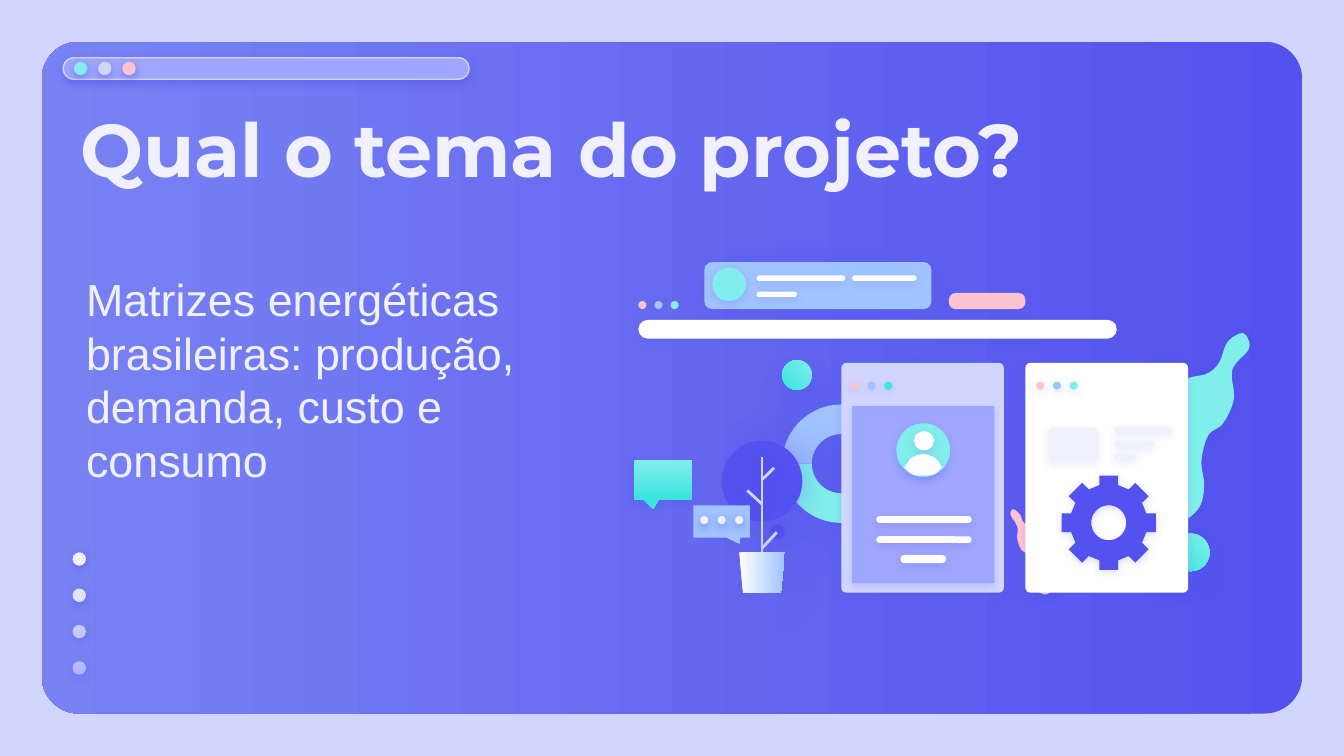
"""Build the project theme slide with a browser-style frame and a web illustration."""
import math

import pptx
import pptx.dml.color
import pptx.enum.shapes
import pptx.enum.text
import pptx.oxml
import pptx.oxml.ns
import pptx.util

SHAPE = pptx.enum.shapes.MSO_SHAPE
ROUND, OVAL, ARC = SHAPE.ROUNDED_RECTANGLE, SHAPE.OVAL, SHAPE.BLOCK_ARC
RECT, BUBBLE = SHAPE.RECTANGLE, SHAPE.ROUNDED_RECTANGULAR_CALLOUT

COLORS = {
    "lilac": "D2D6FF", "indigo": "5352EE", "violet": "7882F3", "lavender": "9EA6FF",
    "pale": "F1F0FF", "aqua": "81EEEB", "teal": "3AE4DF", "pink": "FFC3D0",
    "sky": "A1C3FF", "white": "FFFFFF",
}
TITLE = "Qual o tema do projeto?"
BODY = "Matrizes energéticas brasileiras: produção, demanda, custo e consumo"
SOFT = (18, 4.5, 1.5, 90)
STRONG = (50, 4.5, 1.5, 90)
FAINT = (14, 4.5, 1.5, 90)
BLOB = (22, 4.5, 1.5, 90)
RING = (67, 38.2, 9, 49)
BALL = (38, 12.4, 6.8, 90)
STEM = (28, 4.5, 1.5, 90)
MINT = ("aqua", "teal", 135)


def dots(left, top, size, fills, step_x=0.0, step_y=0.0, shadow=SOFT):
    """Return evenly spaced round dots, one per fill."""
    return [(OVAL, (left + i * step_x, top + i * step_y, size, size), fill, shadow)
            for i, fill in enumerate(fills)]


FRAME = [
    (ROUND, (0.31, 0.31, 9.38, 5), ("indigo", "violet", 180), None, (0.056,)),
    (ROUND, (0.47, 0.43, 3.02, 0.16), "lavender", STRONG, (0.5,), 0, "lilac"),
    *dots(0.55, 0.46, 0.1, ("aqua", "lilac", "pink"), step_x=0.18, shadow=STRONG),
    *dots(0.54, 4.11, 0.1, ("pale", ("pale", 90), ("pale", 67), ("pale", 54)),
          step_y=0.27, shadow=STRONG),
]
BLOBS = [
    ("pink", [(7.54, 3.79), (7.52, 3.83), (7.57, 3.92), (7.57, 4.01), (7.6, 4.09),
              (7.65, 4.13), (7.68, 4.22), (7.66, 4.3), (7.68, 4.37), (7.76, 4.42),
              (7.81, 4.41), (7.91, 4.33), (7.86, 4.13), (7.81, 4.1), (7.77, 3.99),
              (7.7, 3.93), (7.62, 3.89), (7.59, 3.83)]),
    ("aqua", [(9.23, 2.48), (9.28, 2.51), (9.29, 2.6), (9.17, 2.75), (9.18, 2.97),
              (9.1, 3.15), (8.99, 3.24), (8.94, 3.43), (8.96, 3.62), (8.92, 3.78),
              (8.79, 3.88), (8.64, 3.87), (8.41, 3.68), (8.53, 3.24), (8.64, 3.16),
              (8.73, 2.93), (8.83, 2.82), (8.98, 2.78), (9.07, 2.7), (9.13, 2.55)]),
]
BACK = [
    (ROUND, (5.24, 1.95, 1.69, 0.35), "sky", (50, 14.6, 1.5, 90), (0.167,)),
    (ROUND, (5.63, 2.05, 0.66, 0.04), "white", FAINT, (0.5,)),
    (ROUND, (6.34, 2.05, 0.48, 0.04), "white", FAINT, (0.5,)),
    (ROUND, (5.63, 2.17, 0.3, 0.04), "white", FAINT, (0.5,)),
    (OVAL, (5.3, 1.99, 0.25, 0.25), "aqua", SOFT),
    (ROUND, (7.06, 2.18, 0.57, 0.12), "pink", (24, 4.5, 1.5, 90), (0.423,)),
    (BUBBLE, (4.72, 3.42, 0.43, 0.3), ("aqua", "teal", 90), (31, 4.5, 1.5, 90),
     (-0.174, 0.731, 0)),
    (ARC, (5.82, 3.01, 0.88, 0.88), "sky", RING),
    (ARC, (5.82, 3.01, 0.88, 0.88), "aqua", RING, (), 180),
    (OVAL, (5.37, 3.28, 0.6, 0.6), "indigo", (36, 16.9, 1.5, 90)),
    (OVAL, (5.73, 3.9, 0.11, 0.11), "indigo", (26, 4.5, 1.5, 90)),
]
STEMS = [(5.67, 3.4, 5.67, 4.11), (5.56, 3.65, 5.67, 3.75),
         (5.76, 3.48, 5.67, 3.57), (5.78, 3.96, 5.67, 4.08)]
POT = [(5.5, 4.11), (5.84, 4.11), (5.81, 4.41), (5.53, 4.41)]
FRONT = [
    (BUBBLE, (5.16, 3.76, 0.42, 0.24), "sky", None, (0.317, 0.706, 0)),
    *dots(5.21, 3.84, 0.06, ("pale",) * 3, step_x=0.13, shadow=STRONG),
    (OVAL, (8.72, 3.97, 0.28, 0.28), MINT, BALL),
    (OVAL, (5.82, 2.68, 0.22, 0.22), MINT, BALL),
    (ROUND, (4.75, 2.38, 3.56, 0.14), "white", SOFT, (0.5,)),
    *dots(4.75, 2.24, 0.06, ("pink", "sky", "aqua"), step_x=0.12),
    (ROUND, (7.63, 2.7, 1.21, 1.71), "white", SOFT, (0.03,)),
    *dots(7.71, 2.84, 0.06, ("pink", "sky", "aqua"), step_x=0.125),
    (ROUND, (6.26, 2.7, 1.21, 1.71), "lilac", SOFT, (0.03,)),
    (RECT, (6.34, 3.02, 1.06, 1.32), "lavender", SOFT),
    *dots(6.33, 2.84, 0.06, ("pink", "sky", "teal"), step_x=0.125),
    (ROUND, (6.52, 3.84, 0.71, 0.05), "white", SOFT, (0.5,)),
    (ROUND, (6.52, 3.99, 0.71, 0.05), "white", SOFT, (0.5,)),
    (ROUND, (6.7, 4.13, 0.34, 0.06), "white", SOFT, (0.5,)),
    (OVAL, (6.67, 3.15, 0.4, 0.4), "aqua", SOFT),
    (OVAL, (6.8, 3.21, 0.15, 0.14), "white", SOFT),
    (ROUND, (7.8, 3.18, 0.37, 0.25), "pale", (9, 4.5, 1.5, 90), (0.167,)),
    *[(ROUND, (8.29, 3.18 + 0.1 * i, width, 0.04), "pale", FAINT, (0.5,))
      for i, width in enumerate((0.43, 0.3, 0.17))],
]
SHOULDERS = [(6.73, 3.48), (6.73, 3.48), (6.78, 3.41), (6.87, 3.38), (6.96, 3.41),
             (7.01, 3.48), (7.01, 3.48), (6.95, 3.53), (6.87, 3.54), (6.79, 3.53)]
GEAR = {"center": (8.25, 3.89), "teeth": 8, "half": 0.07, "root": 0.28, "tip": 0.35,
        "hole": 0.13}


def length(inches):
    """Convert layout units of one inch to a length."""
    return pptx.util.Cm(inches * 2.54)


def rgb(name):
    """Return the named colour."""
    return pptx.dml.color.RGBColor.from_string(COLORS[name])


def child(parent, tag, **attributes):
    """Append a DrawingML element."""
    element = pptx.oxml.parse_xml(f"<a:{tag} {pptx.oxml.ns.nsdecls('a')}/>")
    for name, value in attributes.items():
        element.set(name, str(value))
    parent.append(element)
    return element


def cast(effects, shadow):
    """Add an outer shadow given as opacity, blur, distance and angle."""
    opacity, blur, distance, angle = shadow
    outer = child(effects, "outerShdw", blurRad=int(pptx.util.Pt(blur)),
                  dist=int(pptx.util.Pt(distance)), dir=angle * 60000,
                  algn="bl", rotWithShape=0)
    color = child(outer, "srgbClr", val=COLORS["indigo"])
    child(color, "alpha", val=opacity * 1000)


def paint(shape, fill, shadow, line=None):
    """Apply a plain, translucent or gradient fill, a shadow and an outline."""
    if isinstance(fill, tuple) and len(fill) == 3:
        shape.fill.gradient()
        shape.fill.gradient_angle = -fill[2] % 360
        for stop, name in zip(shape.fill.gradient_stops, fill):
            stop.color.rgb = rgb(name)
    else:
        name, opacity = fill if isinstance(fill, tuple) else (fill, 100)
        shape.fill.solid()
        shape.fill.fore_color.rgb = rgb(name)
        if opacity < 100:
            color = shape._element.spPr.find(".//" + pptx.oxml.ns.qn("a:srgbClr"))
            child(color, "alpha", val=opacity * 1000)
    if line:
        shape.line.color.rgb = rgb(line)
        shape.line.width = pptx.util.Pt(0.75)
    else:
        shape.line.fill.background()
    shape.shadow.inherit = False
    if shadow:
        cast(shape._element.spPr.find(pptx.oxml.ns.qn("a:effectLst")), shadow)


def add_preset(page, kind, box, fill, shadow, adjustments=(), turn=0, line=None):
    """Draw one preset shape."""
    shape = page.shapes.add_shape(kind, *map(length, box))
    for i, value in enumerate(adjustments):
        shape.adjustments[i] = value
    shape.rotation = turn
    paint(shape, fill, shadow, line)


def add_outline(page, contours, fill, shadow):
    """Draw one closed outline, with any further contours as holes."""
    builder = None
    for contour in contours:
        first, *rest = [tuple(map(length, point)) for point in contour]
        if builder is None:
            builder = page.shapes.build_freeform(*first)
        else:
            builder.move_to(*first)
        builder.add_line_segments(rest, close=True)
    paint(builder.convert_to_shape(), fill, shadow)


def smooth(points, steps=8):
    """Return a closed Catmull-Rom curve through the points."""
    curve, count = [], len(points)
    for i in range(count):
        near = [points[(i + k) % count] for k in (-1, 0, 1, 2)]
        for t in (step / steps for step in range(steps)):
            curve.append(tuple(
                b + t / 2 * (c - a + t * (2 * a - 5 * b + 4 * c - d
                                          + t * (3 * (b - c) + d - a)))
                for a, b, c, d in zip(*near)))
    return curve


def gear_contours(center, teeth, half, root, tip, hole):
    """Return the toothed rim and the round hole of a gear."""
    x, y = center
    rim = []
    for turn in (2 * math.pi * i / teeth for i in range(teeth)):
        cos, sin = math.cos(turn), math.sin(turn)
        rim += [(x + r * cos - s * sin, y + r * sin + s * cos)
                for r, s in ((root, -half), (tip, -half), (tip, half), (root, half))]
    circle = [(x + hole * math.cos(math.pi * i / 24), y - hole * math.sin(math.pi * i / 24))
              for i in range(48)]
    return [rim, circle]


def add_stem(page, ends):
    """Draw one plant stem."""
    stem = page.shapes.add_connector(pptx.enum.shapes.MSO_CONNECTOR.STRAIGHT, *map(length, ends))
    stem.line.color.rgb = rgb("lilac")
    stem.line.width = pptx.util.Pt(1.5)
    cast(child(stem._element.spPr, "effectLst"), STEM)


def write(page, holder, box, text, font, size, bold):
    """Place and format a text placeholder above the frame."""
    page.shapes._spTree.append(holder._element)
    holder.left, holder.top, holder.width, holder.height = map(length, box)
    frame = holder.text_frame
    frame.text = text
    frame.word_wrap = True
    frame.auto_size = pptx.enum.text.MSO_AUTO_SIZE.NONE
    frame.vertical_anchor = pptx.enum.text.MSO_ANCHOR.MIDDLE
    for side in ("left", "top", "right", "bottom"):
        setattr(frame, f"margin_{side}", length(0.1))
    para = frame.paragraphs[0]
    para.alignment = pptx.enum.text.PP_ALIGN.LEFT
    para.space_before = pptx.util.Pt(0)
    para.line_spacing = 1.0
    para.font.name, para.font.size, para.font.bold = font, pptx.util.Pt(size), bold
    para.font.color.rgb = rgb("pale")


def main():
    """Assemble and save the deck."""
    deck = pptx.Presentation()
    deck.slide_width = pptx.util.Cm(25.4)
    deck.slide_height = deck.slide_width * 9 // 16
    page = deck.slides.add_slide(deck.slide_layouts[0])
    page.background.fill.solid()
    page.background.fill.fore_color.rgb = rgb("lilac")
    for item in FRAME:
        add_preset(page, *item)
    write(page, page.shapes.title, (0.5, 0.48, 7.51, 1.24), TITLE, "Montserrat", 40, True)
    write(page, page.placeholders[1], (0.54, 2.38, 3.91, 0.88), BODY, "Arial", 24, False)
    for fill, points in BLOBS:
        add_outline(page, [smooth(points)], fill, BLOB)
    for item in BACK:
        add_preset(page, *item)
    for ends in STEMS:
        add_stem(page, ends)
    add_outline(page, [POT], ("white", "sky", 0), (24, 25.9, 1.5, 90))
    for item in FRONT:
        add_preset(page, *item)
    add_outline(page, [smooth(SHOULDERS)], "white", SOFT)
    add_outline(page, gear_contours(**GEAR), "indigo", SOFT)
    deck.save("out.pptx")


if __name__ == "__main__":
    main()
